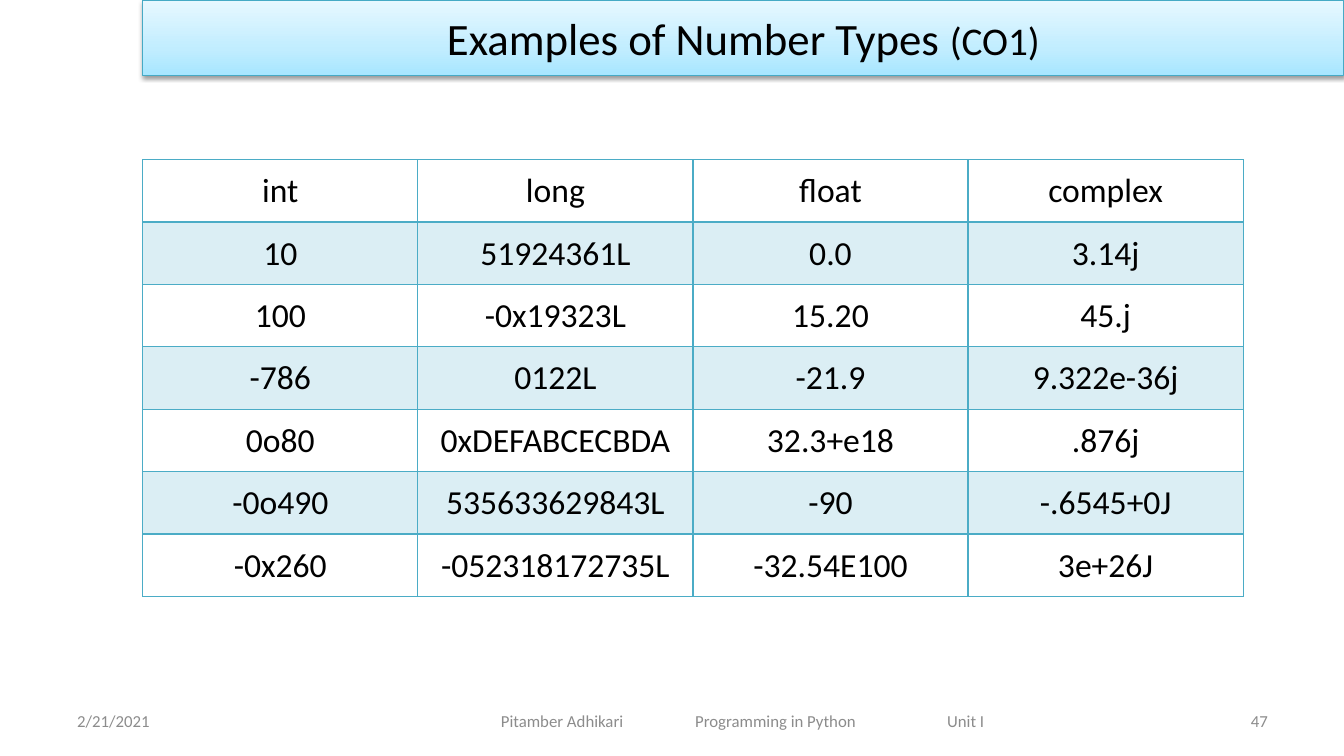
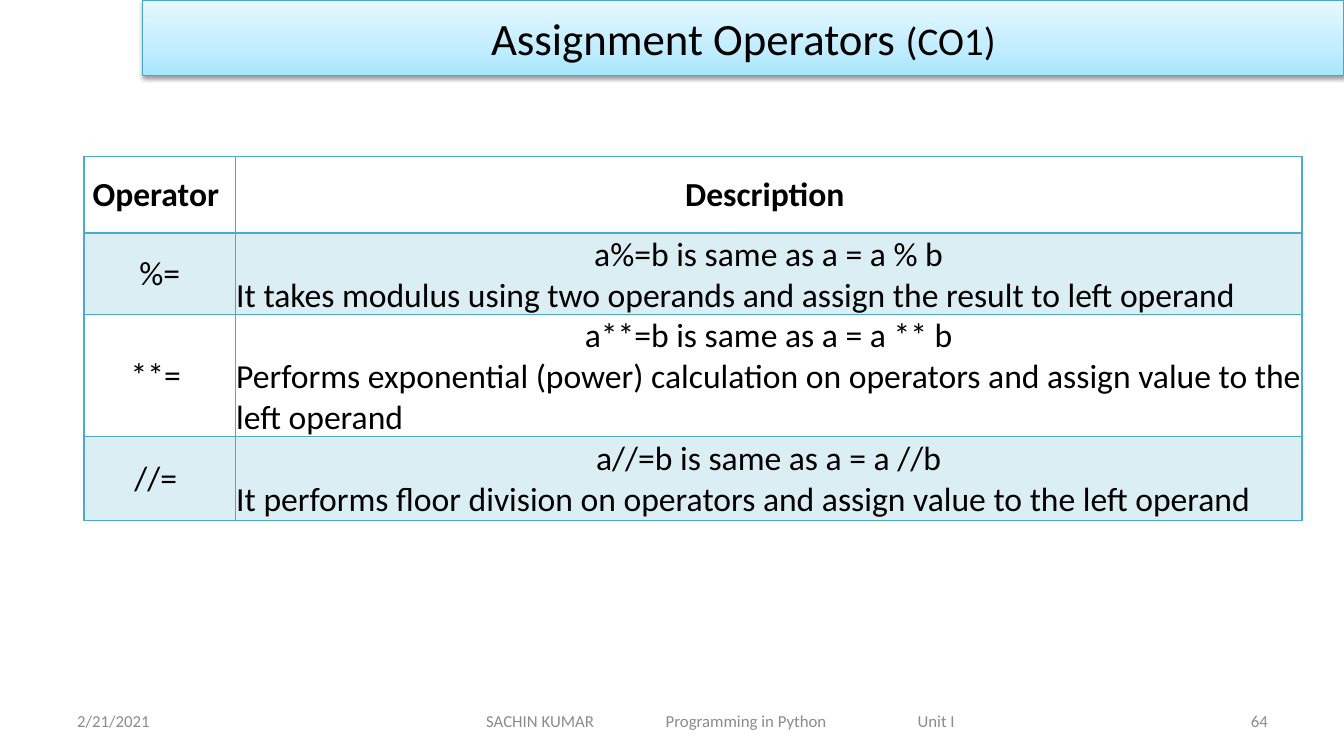
from pptx import Presentation
from pptx import util as u
from pptx.dml.color import RGBColor
from pptx.enum import shapes, text
from pptx.oxml import parse_xml
from pptx.oxml.ns import nsdecls

SCALE = 9525  # EMU in one px
FONT = "Calibri"
COLORS = {
    "text": "000000",
    "footer": "8C8C8C",
    "band_bottom": "A7E6FF",
    "band_middle": "C1EDFF",
    "band_top": "E7F8FF",
    "band_line": "46AAC5",
    "shadow": "000000",
    "grid": "4BACC6",
    "stripe": "DBEEF4",
}
LEFT, CENTER, RIGHT = text.PP_ALIGN.LEFT, text.PP_ALIGN.CENTER, text.PP_ALIGN.RIGHT

DATE = "2/21/2021"
COURSE, UNIT = "Programming in Python", "Unit I"
COURSE_TO_UNIT = 240

NUMBER_ROWS = [
    ["int", "long", "float", "complex"],
    ["10", "51924361L", "0.0", "3.14j"],
    ["100", "-0x19323L", "15.20", "45.j"],
    ["-786", "0122L", "-21.9", "9.322e-36j"],
    ["0o80", "0xDEFABCECBDA", "32.3+e18", ".876j"],
    ["-0o490", "535633629843L", "-90", "-.6545+0J"],
    ["-0x260", "-052318172735L", "-32.54E100", "3e+26J"],
]
# A line break starts a left-aligned explanation
OPERATOR_ROWS = [
    ["Operator ", "Description "],
    ["%=", "a%=b is same as a = a % b\n"
           "It takes modulus using two operands and assign the result to left operand"],
    ["**= ", "a**=b is same as a = a ** b\n"
             "Performs exponential (power) calculation on operators "
             "and assign value to the left operand"],
    ["//= ", "a//=b is same as a = a //b\n"
             "It performs floor division on operators and assign value to the left operand"],
]


def px(length):
    return u.Emu(int(length * SCALE))


def color(name):
    return RGBColor.from_string(COLORS[name])


def xml(tag, attributes="", children=""):
    return parse_xml(f"<a:{tag} {nsdecls('a')} {attributes}>{children}</a:{tag}>")


def add_span(para, words, size, color_name="text", bold=False):
    span = para.add_run()
    span.text = words
    span.font.name = FONT
    span.font.size = u.Pt(size)
    span.font.bold = bold
    span.font.color.rgb = color(color_name)


# Title band
def add_title(page, title, tag):
    band = page.shapes.add_shape(
        shapes.MSO_SHAPE.RECTANGLE, px(136), 0, px(1144), px(72))
    band.line.color.rgb = color("band_line")
    band.line.width = u.Pt(0.75)
    stops = "".join(
        f'<a:gs pos="{place * 1000}"><a:srgbClr val="{COLORS[name]}"/></a:gs>'
        for place, name in [(0, "band_bottom"), (35, "band_middle"), (100, "band_top")])
    band.line._ln.addprevious(xml(
        "gradFill", 'rotWithShape="1"',
        f'<a:gsLst>{stops}</a:gsLst><a:lin ang="16200000" scaled="0"/>'))
    band.shadow.inherit = False
    effects = band.line._ln.getnext()
    effects.append(xml(
        "outerShdw", 'blurRad="40000" dist="20000" dir="5400000" rotWithShape="0"',
        f'<a:srgbClr val="{COLORS["shadow"]}"><a:alpha val="38000"/></a:srgbClr>'))

    frame = band.text_frame
    frame.vertical_anchor = text.MSO_ANCHOR.MIDDLE
    para = frame.paragraphs[0]
    para.alignment = CENTER
    add_span(para, title + " ", 32)
    add_span(para, tag, 28)


# Footer
def add_footer_text(page, left, width, words, align):
    box = page.shapes.add_textbox(px(left), px(667), px(width), px(38))
    box.text_frame.word_wrap = True
    box.text_frame.vertical_anchor = text.MSO_ANCHOR.MIDDLE
    para = box.text_frame.paragraphs[0]
    para.alignment = align
    add_span(para, words, 12, "footer")
    return box


def add_footer(page, author, left, course_tab, number):
    add_footer_text(page, 64, 299, DATE, LEFT)
    box = add_footer_text(page, left, 538, "\t".join([author, COURSE, UNIT]), LEFT)
    box.text_frame.margin_left = px(39)
    tabs = "".join(f'<a:tab pos="{px(stop)}" algn="l"/>'
                   for stop in (course_tab, course_tab + COURSE_TO_UNIT))
    box.text_frame.paragraphs[0]._p.get_or_add_pPr().append(xml("tabLst", "", tabs))
    add_footer_text(page, 918, 299, number, RIGHT)


# Tables
def set_borders(cell, bottom):
    properties = cell._tc.get_or_add_tcPr()
    for side, width in [("L", 1), ("R", 1), ("T", 1), ("B", bottom)]:
        properties.append(xml(
            f"ln{side}", f'w="{u.Pt(width)}"',
            f'<a:solidFill><a:srgbClr val="{COLORS["grid"]}"/></a:solidFill>'))


def fill_cell(cell, words, row, bold_header):
    is_header = row == 0
    set_borders(cell, 2 if is_header else 1)
    if row % 2:
        cell.fill.solid()
        cell.fill.fore_color.rgb = color("stripe")
    else:
        cell.fill.background()
    cell.margin_left = cell.margin_right = cell.margin_top = px(1)
    cell.margin_bottom = 0
    cell.vertical_anchor = text.MSO_ANCHOR.MIDDLE
    frame = cell.text_frame
    for index, line in enumerate(words.split("\n")):
        para = frame.add_paragraph() if index else frame.paragraphs[0]
        para.alignment = LEFT if index else CENTER
        add_span(para, line, 24, bold=is_header and bold_header)


def add_grid(page, left, top, widths, heights, rows, bold_header=False):
    table = page.shapes.add_table(
        len(rows), len(widths), px(left), px(top),
        px(sum(widths)), px(sum(heights))).table
    table.first_row = table.horz_banding = False
    for column, width in zip(table.columns, widths):
        column.width = px(width)
    for line, height in zip(table.rows, heights):
        line.height = px(height)
    for row, values in enumerate(rows):
        for column, words in enumerate(values):
            fill_cell(table.cell(row, column), words, row, bold_header)


def add_page(deck, title, tag):
    page = deck.slides.add_slide(deck.slide_layouts[6])
    add_title(page, title, tag)
    return page


def main():
    deck = Presentation()
    deck.slide_width, deck.slide_height = px(1280), px(720)

    # Number types
    page = add_page(deck, "Examples of Number Types", "(CO1)")
    add_footer(page, "Pitamber Adhikari", 438, 185, "47")
    count = len(NUMBER_ROWS)
    add_grid(page, 136, 152, [262] * 4, [416 / count] * count, NUMBER_ROWS)

    # Assignment operators
    page = add_page(deck, "Assignment Operators", "(CO1)")
    add_footer(page, "SACHIN KUMAR", 424, 171, "64")
    add_grid(page, 80, 149, [144, 1016], [73, 73, 80, 80], OPERATOR_ROWS,
             bold_header=True)

    deck.save("out.pptx")


if __name__ == "__main__":
    main()
